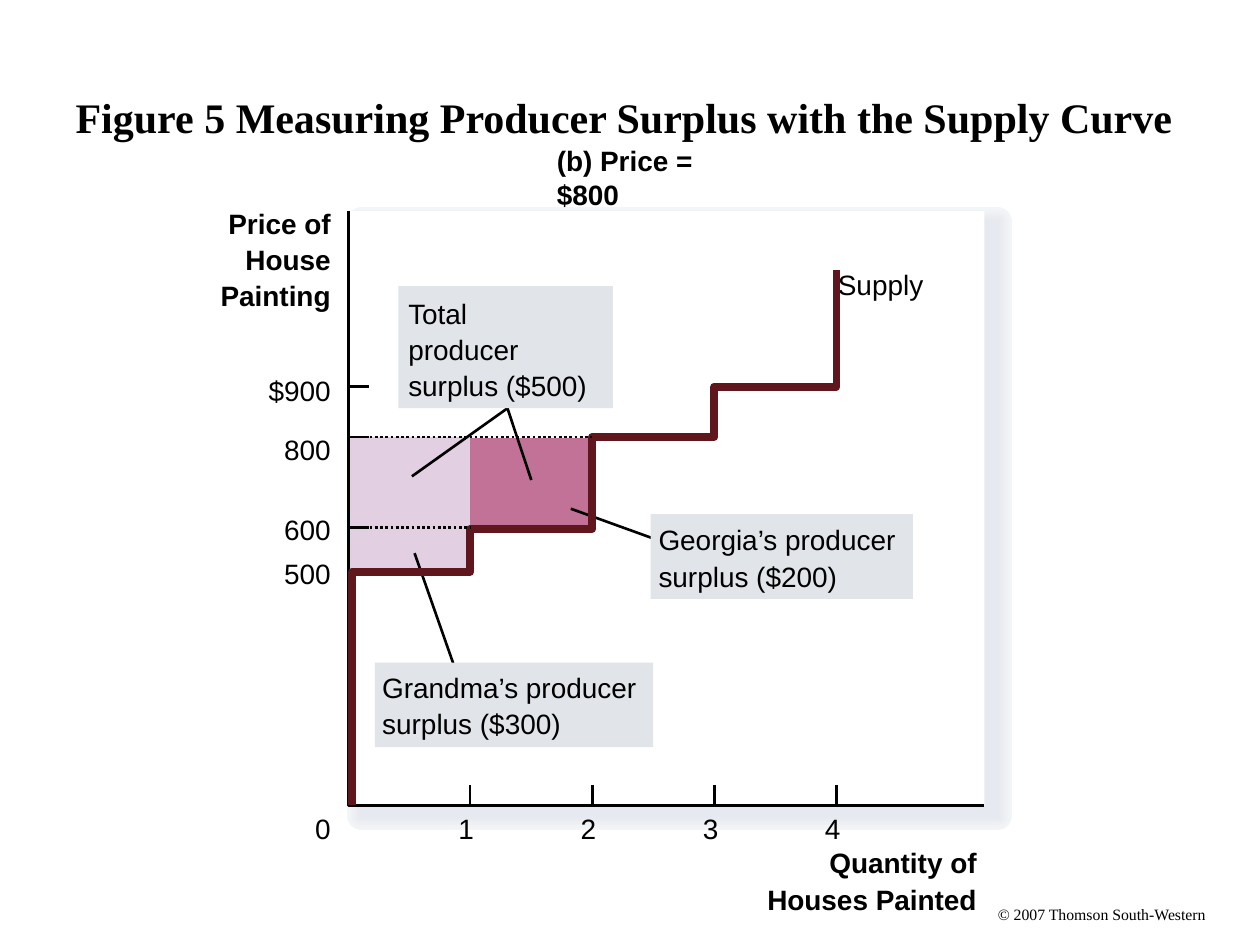
"""Build a slide on producer surplus read from a stepped supply curve."""
import pptx
import pptx.dml.color
import pptx.enum.dml
import pptx.enum.shapes
import pptx.enum.text
import pptx.oxml.ns
import pptx.util
from lxml import etree

Pt = pptx.util.Pt
RGB = pptx.dml.color.RGBColor.from_string
ALIGN = pptx.enum.text.PP_ALIGN
ANCHOR = pptx.enum.text.MSO_ANCHOR
RECT = pptx.enum.shapes.MSO_SHAPE.RECTANGLE
THEME = {
    "ink": "000000", "paper": "FFFFFF", "supply": "5F161D", "callout": "E1E5E9",
    "grandma": "E2CFE1", "georgia": "C17296",
    "shadow": ["F3F6F9", "F2F4F8", "F1F4F7", "F0F2F5", "EEF1F4", "EDEFF3",
               "EBEEF2", "EAECF1", "E9EBF0", "E7EAEF", "E6E9EF"],
    "serif": "Times New Roman", "sans": "Arial",
    "title": 24, "label": 16, "credit": 9,
}


def write(sp, text, size=THEME["label"], font=THEME["sans"], bold=False,
          align=ALIGN.LEFT, anchor=ANCHOR.TOP, inset=(0, 0), wrap=False):
    tf = sp.text_frame
    tf.word_wrap = wrap
    tf.vertical_anchor = anchor
    tf.margin_left = tf.margin_right = Pt(inset[0])
    tf.margin_top = tf.margin_bottom = Pt(inset[1])
    for i, row in enumerate(text.split("\n")):
        p = tf.add_paragraph() if i else tf.paragraphs[0]
        p.alignment = align
        p.space_before = Pt(1.5 if i else 0)
        r = p.add_run()
        r.text = row
        r.font.name, r.font.size, r.font.bold = font, Pt(size), bold
        r.font.color.rgb = RGB(THEME["ink"])


def draw_line(x1, y1, x2, y2, dash=None):
    c = s.shapes.add_connector(pptx.enum.shapes.MSO_CONNECTOR.STRAIGHT,
                               Pt(x1), Pt(y1), Pt(x2), Pt(y2))
    c.line.color.rgb = RGB(THEME["ink"])
    c.line.width = Pt(1.5)
    c.line.dash_style = dash
    etree.SubElement(c._element.spPr, pptx.oxml.ns.qn("a:effectLst"))


prs = pptx.Presentation()
prs.slide_width, prs.slide_height = Pt(720), Pt(540)
s = prs.slides.add_slide(prs.slide_layouts[5])

sp = s.shapes.title
sp.left, sp.top, sp.width, sp.height = Pt(36), Pt(21.6), Pt(648), Pt(90)
write(sp, "Figure 5 Measuring Producer Surplus with the Supply Curve",
      size=THEME["title"], font=THEME["serif"], bold=True,
      anchor=ANCHOR.MIDDLE, inset=(7.2, 3.6), wrap=True)

left, top, width, height = 199.2, 120.7, 363.4, 339.6
bottom = top + height
step = 69.8
xs = [198.8 + step * n for n in range(5)]
ys = {900: 221, 800: 249.8, 600: 301.5, 500: 326.9}

boxes = [(206.6, 126.7, width, height, c, 16.5 - 1.5 * i)
         for i, c in enumerate(THEME["shadow"])]
boxes += [
    (left, top, width, height, THEME["paper"], 0),
    (left, ys[800], step, ys[500] - ys[800], THEME["grandma"], 0),
    (xs[1], ys[800] + 0.6, step, ys[600] - ys[800] + 0.6, THEME["georgia"], 0),
]
for x, y, w, h, color, edge in boxes:
    sp = s.shapes.add_shape(RECT, Pt(x), Pt(y), Pt(w), Pt(h))
    sp.shadow.inherit = False
    sp.fill.solid()
    sp.fill.fore_color.rgb = RGB(color)
    if edge:
        sp.line.color.rgb = RGB(color)
        sp.line.width = Pt(edge)
    else:
        sp.line.fill.background()

for y in ys.values():
    draw_line(211, y, left, y)
for x in xs[1:]:
    draw_line(x, 448.6, x, bottom)

labels = [
    ("(b) Price = $800", 318.2, 82.1, 117.4, True, ALIGN.LEFT),
    ("Price of\nHouse\nPainting", 126, 118, 63, True, ALIGN.RIGHT),
    ("Quantity of\nHouses Painted", 438.4, 483.4, 119.8, True, ALIGN.RIGHT),
    ("Supply", 478.8, 152.6, 49, False, ALIGN.LEFT),
]
labels += [(t, 153, y, 36, False, ALIGN.RIGHT) for t, y in
           [("$900", 213.4), ("800", 247.4), ("600", 292.6), ("500", 318.2), ("0", 463.7)]]
labels += [(str(n), xs[n] - 6.6, 463.7, 9, False, ALIGN.LEFT) for n in range(1, 5)]
for text, x, y, w, bold, align in labels:
    rows = text.count("\n") + 1
    sp = s.shapes.add_textbox(Pt(x), Pt(y), Pt(w), Pt(19.6 * rows))
    write(sp, text, bold=bold, align=align)

callouts = [
    ("Georgia’s producer\nsurplus ($200)", 371.8, 293.8, 149.8, 48.4, (4.5, 5),
     [(326.2, 290.7, 376.6, 308.9)]),
    ("Total\nproducer\nsurplus ($500)", 227.7, 163.5, 122.5, 69.8, (5.6, 5.8),
     [(290, 233.3, 235.4, 272.2), (290, 233.3, 303.6, 274.3)]),
    ("Grandma’s producer\nsurplus ($300)", 214.2, 378.6, 159, 48.4, (4.2, 4.7),
     [(236.9, 316.1, 259.9, 381.6)]),
]
for text, x, y, w, h, inset, pointers in callouts:
    for pointer in pointers:
        draw_line(*pointer)
    sp = s.shapes.add_shape(RECT, Pt(x), Pt(y), Pt(w), Pt(h))
    sp.shadow.inherit = False
    sp.fill.solid()
    sp.fill.fore_color.rgb = RGB(THEME["callout"])
    sp.line.fill.background()
    write(sp, text, inset=inset)

axes = [(left, top), (left, bottom), (left + width, bottom)]
supply = [(200.9, bottom), (200.9, ys[500])]
for x, y in zip(xs[1:], [302.4, ys[800], ys[900], 154.1]):
    supply += [(x, supply[-1][1]), (x, y)]
for points, color, weight in [(axes, THEME["ink"], 1.5), (supply, THEME["supply"], 4.5)]:
    points = [(Pt(x), Pt(y)) for x, y in points]
    fb = s.shapes.build_freeform(*points[0])
    fb.add_line_segments(points[1:], close=False)
    sp = fb.convert_to_shape()
    sp.shadow.inherit = False
    sp.fill.background()
    sp.line.color.rgb = RGB(color)
    sp.line.width = Pt(weight)

for price, n in [(800, 2), (600, 1)]:
    draw_line(left, ys[price], xs[n], ys[price], dash=pptx.enum.dml.MSO_LINE.ROUND_DOT)

sp = s.shapes.add_textbox(Pt(570.2), Pt(517), Pt(119.5), Pt(10.8))
write(sp, "© 2007 Thomson South-Western", size=THEME["credit"], font=THEME["serif"])

prs.save("out.pptx")
